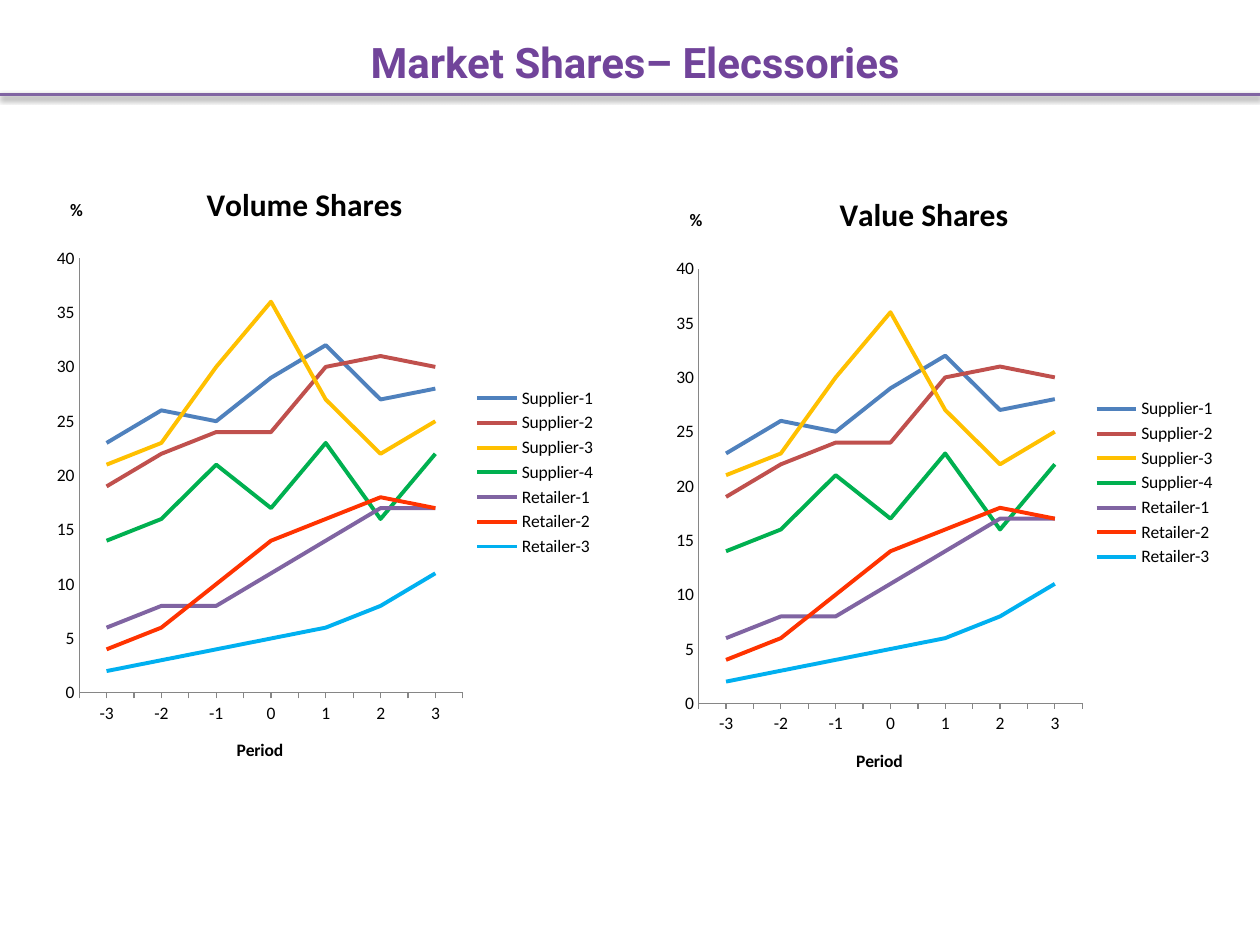
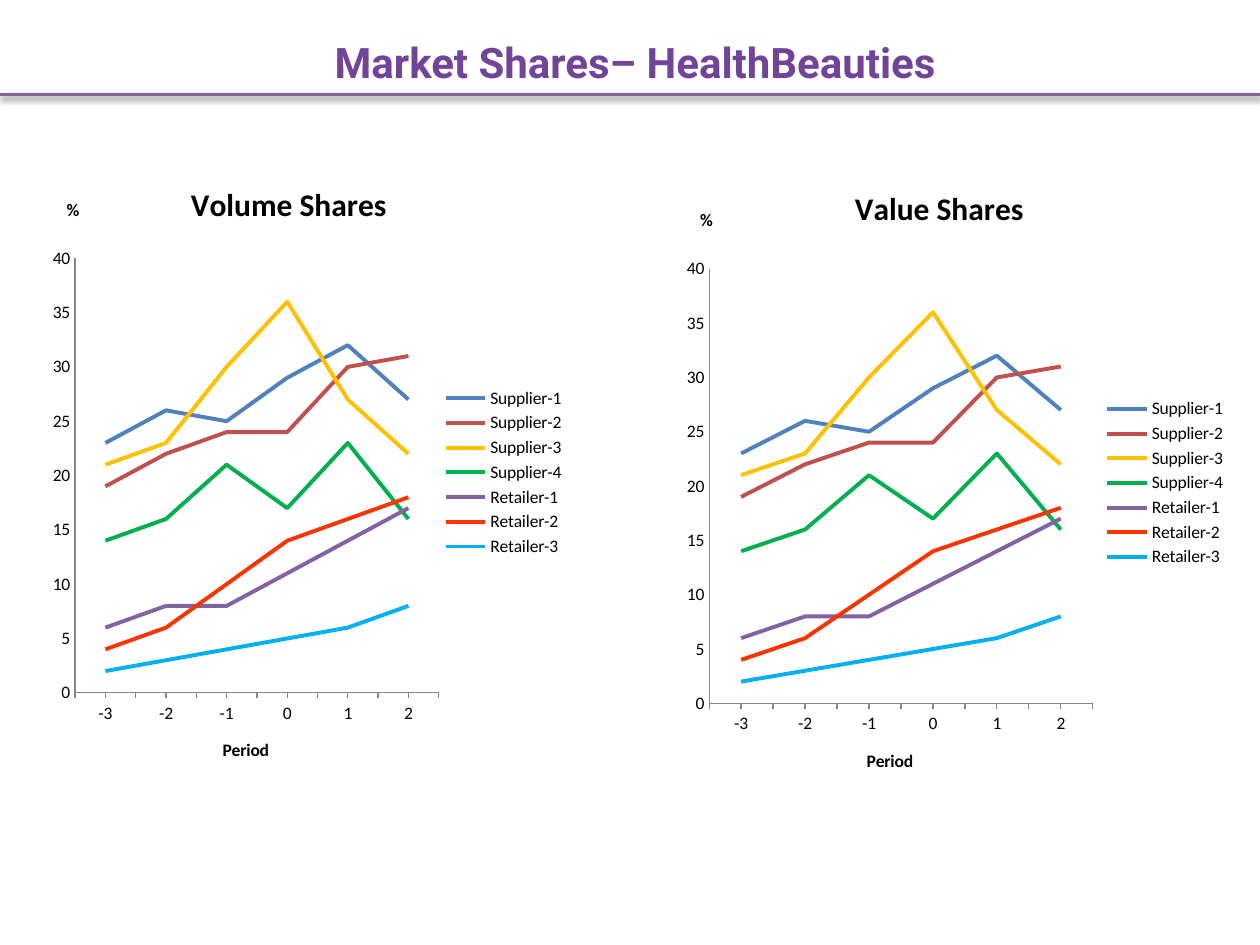
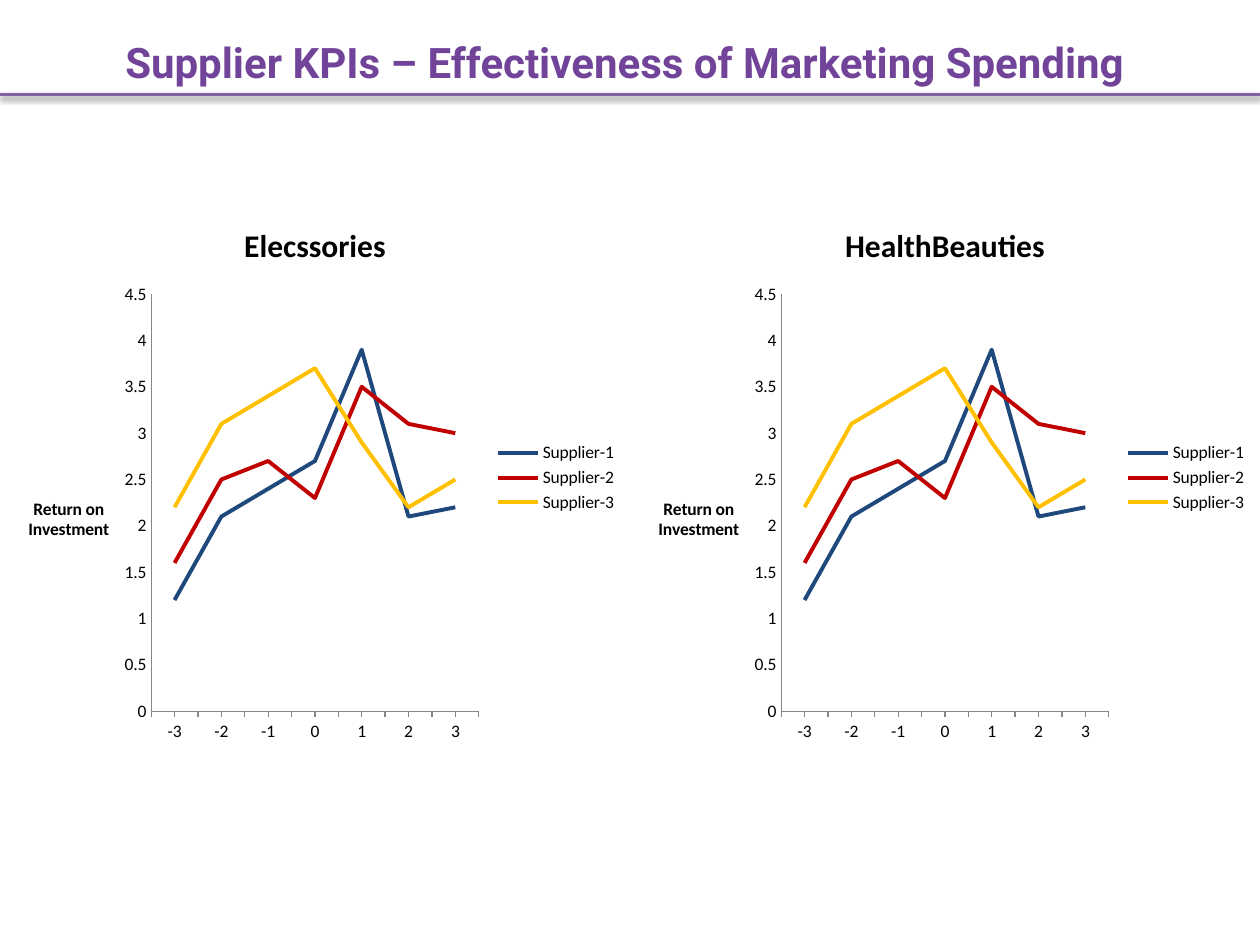
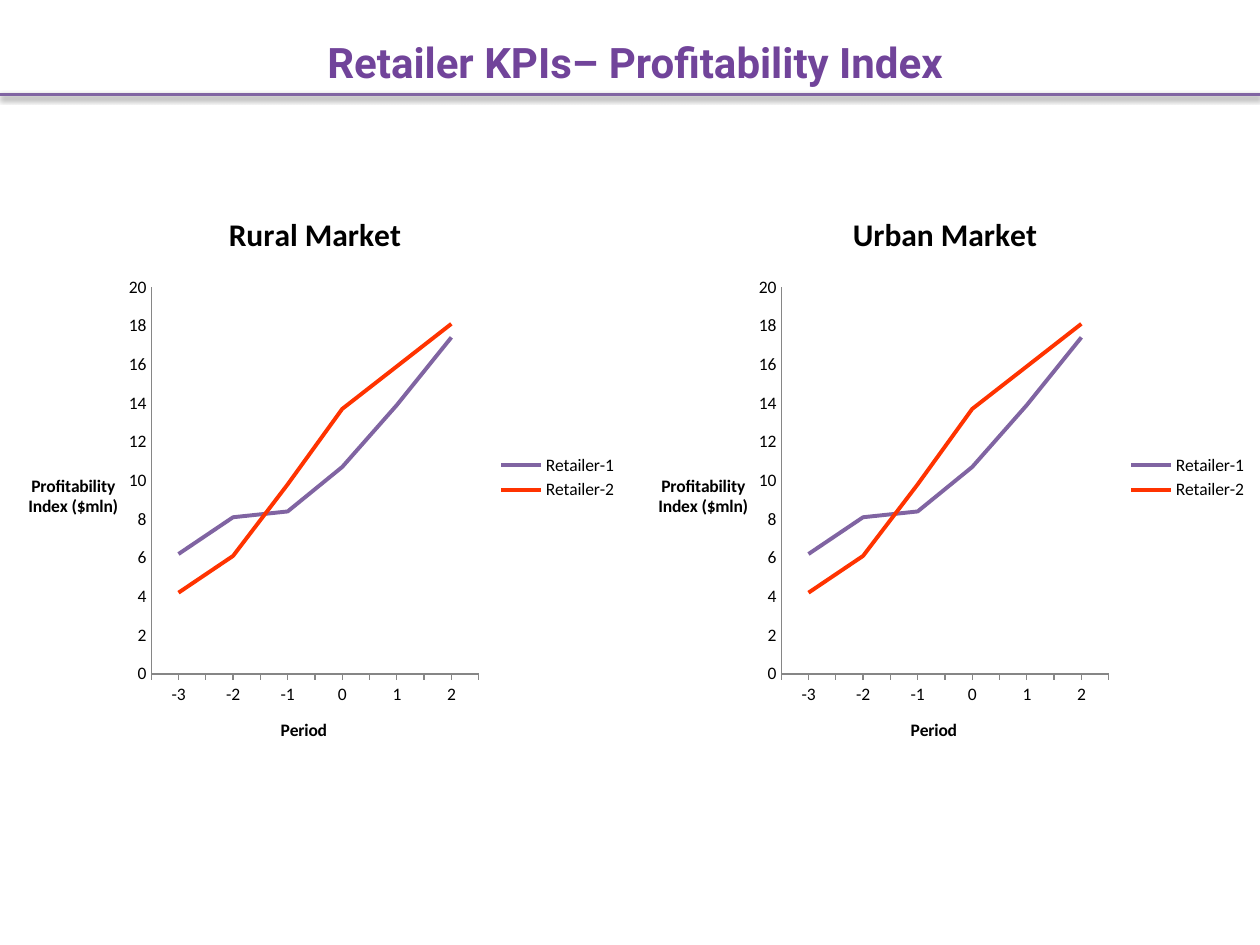
from lxml.etree import SubElement
from pptx import Presentation
from pptx.chart.data import CategoryChartData
from pptx.dml.color import RGBColor
from pptx.enum.chart import XL_CHART_TYPE as ChartType
from pptx.enum.chart import XL_LEGEND_POSITION as LegendPosition
from pptx.enum.chart import XL_TICK_MARK as TickMark
from pptx.enum.shapes import MSO_CONNECTOR as ConnectorType
from pptx.enum.text import MSO_ANCHOR as Anchor
from pptx.enum.text import MSO_AUTO_SIZE as AutoSize
from pptx.enum.text import PP_ALIGN as Align
from pptx.oxml import parse_xml
from pptx.oxml.ns import nsdecls, qn
from pptx.util import Pt

# Shared look
PURPLE, RULE, BLACK, AXIS = "71449A", "8064A2", "000000", "868686"
TITLE_FONT, CHART_FONT = "Roboto", "Calibri"
TITLE_ONLY = 5
PERIODS = ["-3", "-2", "-1", "0", "1", "2", "3"]

# Series: name, colour, value for each period
SHARES = [
    ("Supplier-1", "4F81BD", [23, 26, 25, 29, 32, 27, 28]),
    ("Supplier-2", "C0504D", [19, 22, 24, 24, 30, 31, 30]),
    ("Supplier-3", "FFC000", [21, 23, 30, 36, 27, 22, 25]),
    ("Supplier-4", "00B050", [14, 16, 21, 17, 23, 16, 22]),
    ("Retailer-1", "8064A2", [6, 8, 8, 11, 14, 17, 17]),
    ("Retailer-2", "FF3300", [4, 6, 10, 14, 16, 18, 17]),
    ("Retailer-3", "00B0F0", [2, 3, 4, 5, 6, 8, 11]),
]
RETURNS = [
    ("Supplier-1", "1F497D", [1.2, 2.1, 2.4, 2.7, 3.9, 2.1, 2.2]),
    ("Supplier-2", "C00000", [1.6, 2.5, 2.7, 2.3, 3.5, 3.1, 3]),
    ("Supplier-3", "FFC000", [2.2, 3.1, 3.4, 3.7, 2.9, 2.2, 2.5]),
]
PROFITS = [
    ("Retailer-1", "8064A2", [6.2, 8.1, 8.4, 10.7, 13.9, 17.4]),
    ("Retailer-2", "FF3300", [4.2, 6.1, 9.8, 13.7, 15.9, 18.1]),
]

# Chart kinds: plot area and value title are fractions of the chart box
SHARE_STYLE = dict(series=SHARES, unit="%", unit_at=(0.11, 0.06), top=40, step=5,
                   plot=(0.13, 0.16, 0.63, 0.69), period_title=True)
RETURN_STYLE = dict(series=RETURNS, unit="Return on Investment", unit_at=(0.04, 0.53),
                    top=4.5, step=0.5, plot=(0.24, 0.17, 0.52, 0.75), period_title=False)
PROFIT_STYLE = dict(series=PROFITS, unit="Profitability Index ($mln)", unit_at=(0.04, 0.49),
                    top=20, step=2, plot=(0.24, 0.17, 0.52, 0.67), period_title=True)


def color(hex_text):
    return RGBColor.from_string(hex_text)


def style_text(frame, size, font, hex_text):
    for para in frame.paragraphs:
        for span in para.runs:
            span.font.size, span.font.name, span.font.bold = Pt(size), font, True
            span.font.color.rgb = color(hex_text)


def set_layout(parent, index, inner=False, **fractions):
    """Give a chart part a manual position, in fractions of the chart box."""
    layout = parent.find(qn("c:layout"))
    if layout is None:
        layout = parent.makeelement(qn("c:layout"))
        parent.insert(index, layout)
    manual = SubElement(layout, qn("c:manualLayout"))
    settings = {"layoutTarget": "inner"} if inner else {}
    settings.update(xMode="edge", yMode="edge", **fractions)
    for name, value in settings.items():
        SubElement(manual, qn("c:" + name)).set("val", str(value))


def add_header(slide, text, left):
    # Title
    title = slide.shapes.title
    title.left, title.top, title.width, title.height = Pt(left), Pt(4), Pt(702), Pt(62.5)
    frame = title.text_frame
    frame.text = text
    frame.vertical_anchor, frame.auto_size = Anchor.MIDDLE, AutoSize.NONE
    frame.paragraphs[0].alignment = Align.CENTER
    style_text(frame, 24, TITLE_FONT, PURPLE)

    # Rule with a soft shadow
    rule = slide.shapes.add_connector(ConnectorType.STRAIGHT, Pt(0), Pt(54), Pt(720), Pt(54))
    rule.line.color.rgb, rule.line.width = color(RULE), Pt(2)
    rule._element.spPr.append(parse_xml(
        f'<a:effectLst {nsdecls("a")}><a:outerShdw blurRad="40000" dist="20000" '
        'dir="5400000" rotWithShape="0"><a:srgbClr val="000000">'
        '<a:alpha val="38000"/></a:srgbClr></a:outerShdw></a:effectLst>'))


def style_axis(axis, title):
    axis.has_major_gridlines = False
    axis.major_tick_mark = axis.minor_tick_mark = TickMark.NONE
    axis.format.line.color.rgb, axis.format.line.width = color(AXIS), Pt(0.75)
    axis.has_title = bool(title)
    if title:
        axis.axis_title.text_frame.text = title
        style_text(axis.axis_title.text_frame, 10, CHART_FONT, BLACK)


def add_line_chart(slide, box, heading, count, style):
    data = CategoryChartData()
    data.categories = PERIODS[:count]
    for name, _, values in style["series"]:
        data.add_series(name, values[:count])
    chart = slide.shapes.add_chart(ChartType.LINE, *map(Pt, box), data).chart
    chart.font.size, chart.font.name = Pt(10), CHART_FONT
    chart.font.color.rgb = color(BLACK)

    # Heading and legend
    chart.has_title = True
    chart.chart_title.text_frame.text = heading
    style_text(chart.chart_title.text_frame, 18, CHART_FONT, BLACK)
    chart.has_legend = True
    chart.legend.position = LegendPosition.RIGHT
    chart.legend.include_in_layout = False

    # Axes
    style_axis(chart.category_axis, "Period" if style["period_title"] else "")
    chart.category_axis.minor_tick_mark = TickMark.OUTSIDE
    axis = chart.value_axis
    style_axis(axis, style["unit"])
    axis.minimum_scale, axis.maximum_scale, axis.major_unit = 0, style["top"], style["step"]
    axis.axis_title.text_frame._txBody.bodyPr.set("rot", "0")
    axis.axis_title.text_frame._txBody.bodyPr.set("vert", "horz")
    unit_x, unit_y = style["unit_at"]
    set_layout(axis.axis_title.element, 1, x=unit_x, y=unit_y)

    # Plot area and lines
    x, y, w, h = style["plot"]
    plot_area = chart.element.find(".//" + qn("c:plotArea"))
    set_layout(plot_area, 0, inner=True, x=x, y=y, w=w, h=h)
    chart.plots[0].vary_by_categories = False
    for series, (_, line_color, _) in zip(chart.plots[0].series, style["series"]):
        series.smooth = False
        series.format.line.color.rgb = color(line_color)
        series.format.line.width = Pt(2.25)
    return chart


def add_chart_slide(deck, title, charts, count, style, title_left=12):
    slide = deck.slides.add_slide(deck.slide_layouts[TITLE_ONLY])
    add_header(slide, title, title_left)
    return [add_line_chart(slide, box, heading, count, style) for heading, box in charts]


def main():
    deck = Presentation()
    deck.slide_width, deck.slide_height = Pt(720), Pt(540)

    # Market shares
    add_chart_slide(deck, "Market Shares– Elecssories",
                    [("Volume Shares", (0, 90, 348, 360)),
                     ("Value Shares", (354, 96, 348, 360))], 7, SHARE_STYLE)
    _, value_chart = add_chart_slide(deck, "Market Shares– HealthBeauties",
                                     [("Volume Shares", (0, 90, 330, 360)),
                                      ("Value Shares", (360, 96, 348, 360))], 6, SHARE_STYLE)
    set_layout(value_chart.chart_title.element, 1, x=0.36, y=0.02)

    # Key indicators, two equal halves
    add_chart_slide(deck, "Supplier KPIs – Effectiveness of Marketing Spending",
                    [("Elecssories", (0, 114, 360, 318)),
                     ("HealthBeauties", (360, 114, 360, 318))], 7, RETURN_STYLE, title_left=6)
    add_chart_slide(deck, "Retailer KPIs– Profitability Index",
                    [("Rural Market", (0, 108, 360, 330)),
                     ("Urban Market", (360, 108, 360, 330))], 6, PROFIT_STYLE)

    deck.save("out.pptx")


if __name__ == "__main__":
    main()
